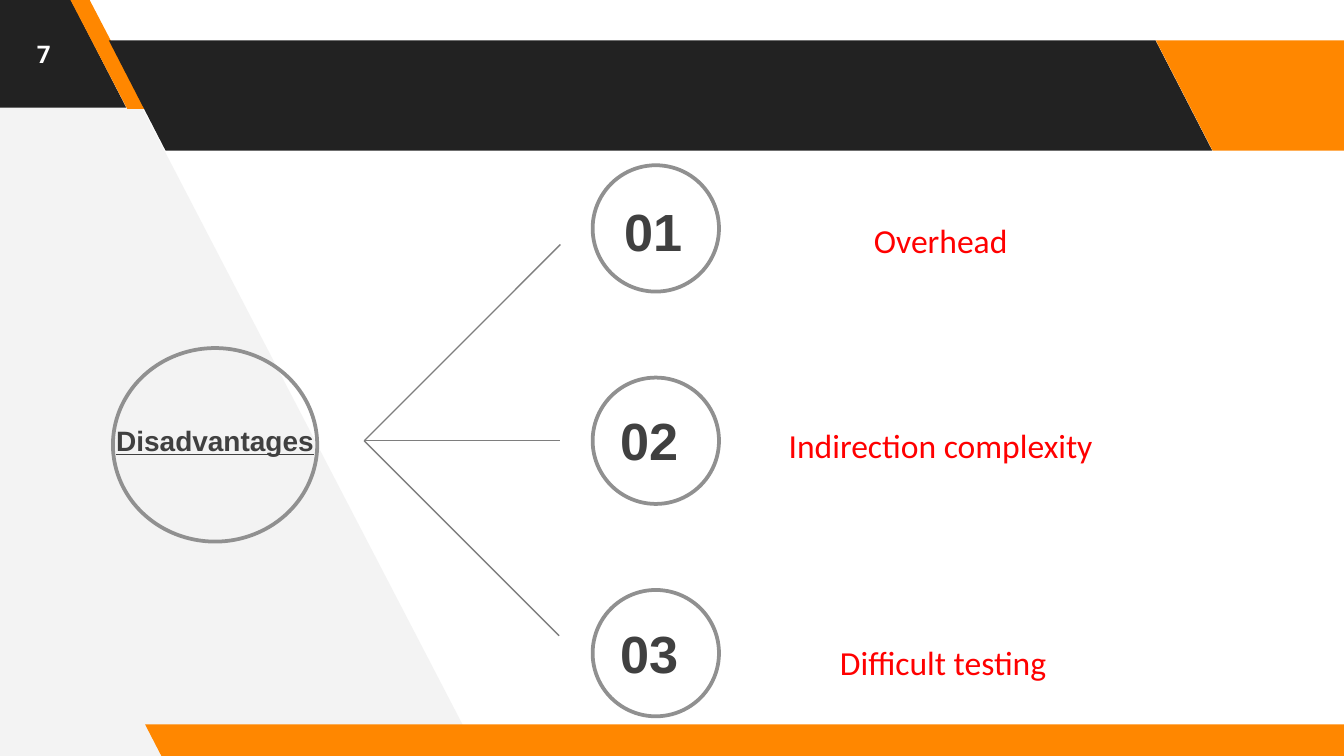
"""Build a slide that branches from a topic to three numbered disadvantages."""
from dataclasses import dataclass

from lxml import etree
from pptx import Presentation
from pptx import util as u
from pptx.dml.color import RGBColor
from pptx.enum import shapes, text
from pptx.oxml.ns import qn

COLUMNS = 10
ROWS = COLUMNS * 9 / 16
CELL = u.Inches(1)
COLORS = {
    "white": "FFFFFF", "pale": "F3F3F3", "dark": "222222", "orange": "FF8700",
    "ring": "909090", "branch": "7E7E7E", "ink": "404040", "red": "FF0000",
}
STYLES = {
    "page": {"name": "Roboto", "size": u.Pt(13), "bold": True},
    "topic": {"name": "Arial", "size": u.Pt(15), "bold": True, "underline": True},
    "number": {"name": "Arial", "size": u.Pt(28), "bold": True},
    "item": {"name": "Calibri", "size": u.Pt(18)},
}


@dataclass(frozen=True)
class Box:
    """A place on the grid, in columns and rows."""
    column: float
    row: float
    width: float
    height: float

    def place(self) -> list[int]:
        """Return left, top, width and height as slide lengths."""
        return [grid(value) for value in (self.column, self.row, self.width, self.height)]


@dataclass(frozen=True)
class Band:
    """A slanted bar of the background."""
    box: Box
    color: str
    slant: float = 0.515


@dataclass(frozen=True)
class Item:
    """A numbered disadvantage with its label and branch end."""
    label: str
    number_at: tuple[float, float]
    label_at: tuple[float, float]
    branch_end: tuple[float, float]


BANDS = [
    Band(Box(-0.99, -0.02, 1.93, 0.82), "dark"),
    Band(Box(0.52, -0.01, 0.57, 0.82), "orange", 0.75),
    Band(Box(0.81, 0.3, 8.21, 0.82), "dark"),
    Band(Box(8.6, 0.3, 1.92, 0.82), "orange"),
    Band(Box(1.08, 5.39, 9.15, 0.25), "orange"),
]
BACKDROP = [(3.56, 5.62), (0.62, -0.04), (-0.06, -0.04), (-0.02, 5.66)]
BRANCH_START = (2.71, 3.28)
FIRST_RING, RING_STEP = Box(4.41, 1.23, 0.94, 0.94), 1.58
ITEMS = [
    Item("Overhead", (4.55, 1.43), (5.35, 1.58), (4.17, 1.82)),
    Item("Indirection complexity", (4.52, 2.99), (5.35, 3.1), (4.17, 3.28)),
    Item(" Difficult testing", (4.52, 4.57), (5.34, 4.72), (4.16, 4.73)),
]


def grid(value: float) -> int:
    """Turn grid units into a slide length."""
    return round(value * CELL)


def color(name: str) -> RGBColor:
    """Look up a named colour."""
    return RGBColor.from_string(COLORS[name])


def fill_plain(shape, name: str) -> None:
    """Give a shape a flat fill without outline or shadow."""
    shape.shadow.inherit = False
    shape.fill.solid()
    shape.fill.fore_color.rgb = color(name)
    shape.line.fill.background()


def draw_backdrop(slide) -> None:
    """Draw the pale wedge on the left."""
    points = [(grid(column), grid(row)) for column, row in BACKDROP]
    builder = slide.shapes.build_freeform(*points[0])
    builder.add_line_segments(points[1:], close=True)
    fill_plain(builder.convert_to_shape(), "pale")


def draw_band(slide, band: Band) -> None:
    """Draw a parallelogram that leans to the left."""
    shape = slide.shapes.add_shape(shapes.MSO_SHAPE.PARALLELOGRAM, *band.box.place())
    shape.adjustments[0] = band.slant
    shape._element.spPr.xfrm.set("flipH", "1")
    fill_plain(shape, band.color)


def draw_ring(slide, box: Box) -> None:
    """Draw an unfilled circle."""
    shape = slide.shapes.add_shape(shapes.MSO_SHAPE.OVAL, *box.place())
    shape.shadow.inherit = False
    shape.fill.background()
    shape.line.color.rgb = color("ring")
    shape.line.width = u.Pt(2)


def draw_branch(slide, end: tuple[float, float]) -> None:
    """Draw a thin line from the topic to an item."""
    ends = [grid(value) for value in (*BRANCH_START, *end)]
    line = slide.shapes.add_connector(shapes.MSO_CONNECTOR.STRAIGHT, *ends)
    line.line.color.rgb = color("branch")
    line.line.width = u.Pt(0.75)
    etree.SubElement(line._element.spPr, qn("a:effectLst"))


def draw_text(slide, box: Box, words: str, style: str, ink: str, *,
              centered: bool = True, inset: tuple[float, float] = (0.1, 0.05),
              spacing: float = 1.0, anchor=text.MSO_ANCHOR.TOP) -> None:
    """Write one styled paragraph in a text box."""
    frame = slide.shapes.add_textbox(*box.place()).text_frame
    across, down = map(grid, inset)
    frame_format = {
        "word_wrap": True, "vertical_anchor": anchor,
        "margin_left": across, "margin_right": across,
        "margin_top": down, "margin_bottom": down,
    }
    for name, value in frame_format.items():
        setattr(frame, name, value)
    paragraph = frame.paragraphs[0]
    paragraph.alignment = text.PP_ALIGN.CENTER if centered else text.PP_ALIGN.LEFT
    paragraph.line_spacing = spacing
    run = paragraph.add_run()
    run.text = words
    for name, value in STYLES[style].items():
        setattr(run.font, name, value)
    run.font.color.rgb = color(ink)


def draw_item(slide, index: int, item: Item) -> None:
    """Draw an item's branch, ring, number and label."""
    draw_branch(slide, item.branch_end)
    ring = FIRST_RING
    draw_ring(slide, Box(ring.column, ring.row + index * RING_STEP, ring.width, ring.height))
    draw_text(slide, Box(*item.number_at, 0.83, 0.57), f"{index + 1:02}", "number", "ink",
              centered=False)
    draw_text(slide, Box(*item.label_at, 3.3, 0.36), item.label, "item", "red",
              inset=(0, 0), spacing=1.2)


def main() -> None:
    """Build and save the presentation."""
    presentation = Presentation()
    presentation.slide_width, presentation.slide_height = grid(COLUMNS), grid(ROWS)
    slide = presentation.slides.add_slide(presentation.slide_layouts[6])
    slide.background.fill.solid()
    slide.background.fill.fore_color.rgb = color("white")
    draw_backdrop(slide)
    for band in BANDS:
        draw_band(slide, band)
    draw_text(slide, Box(0, 0, 0.65, 0.8), "7", "page", "white",
              inset=(0.1, 0.1), anchor=text.MSO_ANCHOR.MIDDLE)
    draw_ring(slide, Box(0.84, 2.59, 1.52, 1.44))
    for index, item in enumerate(ITEMS):
        draw_item(slide, index, item)
    draw_text(slide, Box(0.65, 3.1, 1.9, 0.35), "Disadvantages", "topic", "ink")
    presentation.save("out.pptx")


if __name__ == "__main__":
    main()
